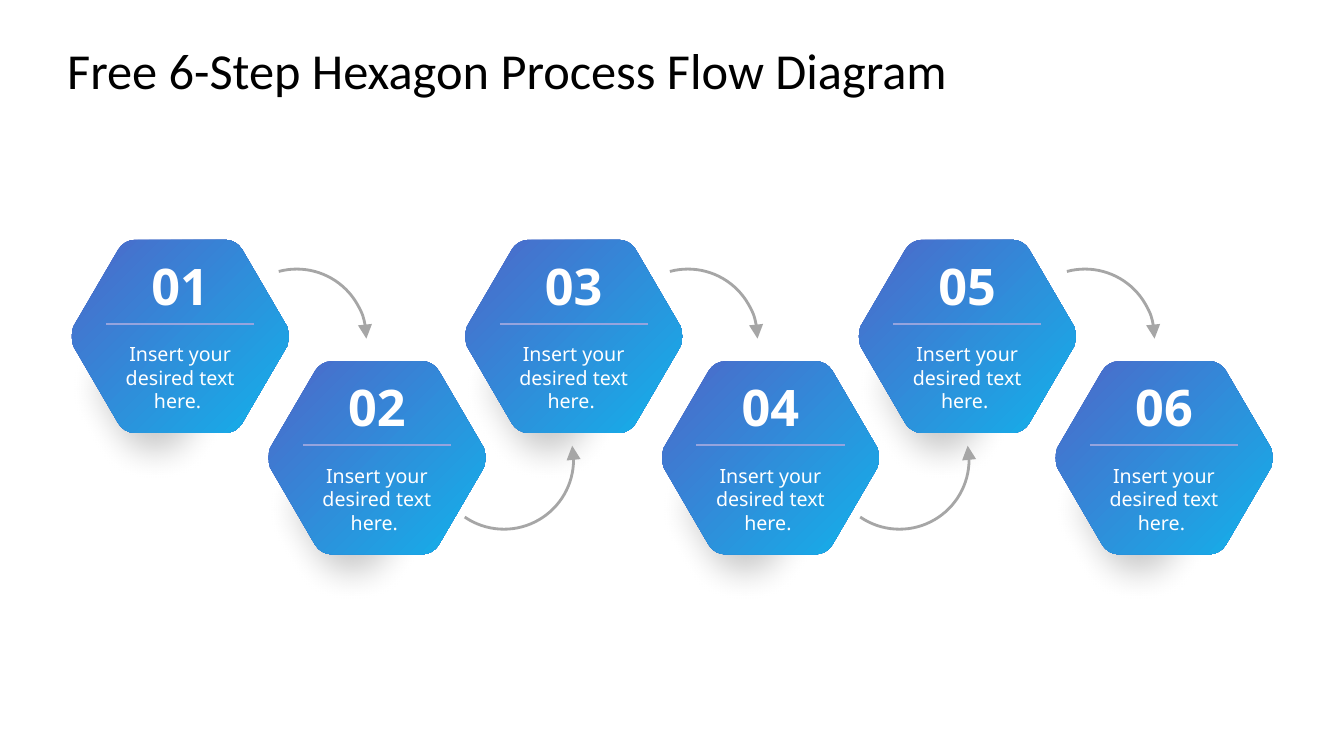
"""Build a six-step hexagon process flow slide."""
from lxml.etree import SubElement
from pptx import Presentation
from pptx.dml.color import RGBColor
from pptx.enum.shapes import MSO_CONNECTOR, MSO_SHAPE
from pptx.enum.text import MSO_ANCHOR, PP_ALIGN
from pptx.oxml.ns import qn
from pptx.util import Pt

TITLE = "Free 6-Step Hexagon Process Flow Diagram"
STEPS = [(f"{n:02}", "Insert your desired text here. ") for n in range(1, 7)]
ARC_LEFTS = [162.3, 310.3, 441.7, 592.8, 725.3]

LEFT, PITCH = 51, 140.55
ROW_TOPS = (171.3, 258)
HEX_W, HEX_H = 155.5, 138
SHADOW_DX, SHADOW_DY = -18, 36.7
ARC_SIZE = 99.4
ARC_STYLES = [
    (192.2, (152.977, 0), "a:tailEnd"),
    (278.6, (209.105, 74.627), "a:headEnd"),
]
TOP_CORNER = [(45.6, 0), (40.6, 0), (36, 2.7), (33.5, 7)]
SIDE_CORNER = [(1.4, 62), (0, 66.5), (0, 71.5), (1.4, 76)]


def color(value):
    """Turn a hex string into a colour."""
    return RGBColor.from_string(value)


def hexagon_corners():
    """Return four curve points for each corner, mirrored from the left half."""
    bottom = [(x, HEX_H - y) for x, y in reversed(TOP_CORNER)]
    half = TOP_CORNER + SIDE_CORNER + bottom
    return half + [(HEX_W - x, y) for x, y in reversed(half)]


def add_hexagon(shapes, left, top):
    """Add a hexagon with curved corners and no line."""
    points = [(Pt(left + x), Pt(top + y)) for x, y in hexagon_corners()]
    builder = shapes.build_freeform(*points[0])
    builder.add_line_segments(points[1:], close=True)
    sp = builder.convert_to_shape()
    outline = sp._element.spPr.find(".//" + qn("a:path"))
    segments = outline.findall(qn("a:lnTo"))
    for i in range(0, len(segments), 4):
        corner, *rest = segments[i:i + 3]
        corner.tag = qn("a:cubicBezTo")
        for segment in rest:
            corner.append(segment[0])
            outline.remove(segment)
    sp.line.fill.background()
    sp.shadow.inherit = False
    return sp


def add_shadow(shapes, left, top):
    """Add a soft translucent hexagon."""
    sp = add_hexagon(shapes, left + SHADOW_DX, top + SHADOW_DY)
    sp.fill.solid()
    sp.fill.fore_color.rgb = color("000000")
    props = sp._element.spPr
    SubElement(props.find(".//" + qn("a:srgbClr")), qn("a:alpha"), val="22000")
    SubElement(props.find(qn("a:effectLst")), qn("a:softEdge"), rad=str(Pt(25)))


def add_text(shapes, text, box, *, size, font="Noto Sans", fill="FFFFFF",
             bold=False, align=PP_ALIGN.CENTER):
    """Add a formatted text box."""
    tf = shapes.add_textbox(*map(Pt, box)).text_frame
    tf.word_wrap = True
    tf.vertical_anchor = MSO_ANCHOR.MIDDLE
    tf.margin_left = tf.margin_right = tf.margin_top = tf.margin_bottom = 0
    p = tf.paragraphs[0]
    p.alignment = align
    r = p.add_run()
    r.text = text
    r.font.name, r.font.size, r.font.bold = font, Pt(size), bold
    r.font.color.rgb = color(fill)


def add_step(shapes, left, top, number, text):
    """Add one grouped hexagon with its number, rule and text."""
    group = shapes.add_group_shape().shapes
    sp = add_hexagon(group, left, top)
    sp.fill.gradient()
    sp.fill.gradient_angle = 315
    for stop, value, position in zip(sp.fill.gradient_stops, ("4E67C8", "12B2EB"), (0, 1)):
        stop.color.rgb = color(value)
        stop.position = position
    y = Pt(top + 60.1)
    rule = group.add_connector(MSO_CONNECTOR.STRAIGHT, Pt(left + 24.8), y,
                               Pt(left + HEX_W - 24.8), y)
    rule.line.color.rgb = color("95A4DE")
    rule.line.width = Pt(1.5)
    SubElement(rule._element.spPr, qn("a:effectLst"))
    add_text(group, number, (left + 43.2, top + 13.8, 69, 37.4), size=36, bold=True)
    add_text(group, text, (left + 35.2, top + 70.6, 85, 55.4), size=14)


def add_arc(shapes, left, top, angles, end):
    """Add a curved arrow."""
    sp = shapes.add_shape(MSO_SHAPE.ARC, Pt(left), Pt(top), Pt(ARC_SIZE), Pt(ARC_SIZE))
    sp.adjustments[0], sp.adjustments[1] = angles
    sp.fill.background()
    sp.shadow.inherit = False
    sp.line.color.rgb = color("A6A6A6")
    sp.line.width = Pt(2)
    SubElement(sp.line._get_or_add_ln(), qn(end), type="triangle", w="lg", len="lg")


def main():
    """Build and save the slide."""
    prs = Presentation()
    prs.slide_width, prs.slide_height = Pt(960), Pt(540)
    s = prs.slides.add_slide(prs.slide_layouts[6])
    places = [(LEFT + i * PITCH, ROW_TOPS[i % 2]) for i in range(len(STEPS))]
    for place in places:
        add_shadow(s.shapes, *place)
    add_text(s.shapes, TITLE, (48, 21.6, 864, 56), size=36, font="Calibri",
             fill="000000", align=PP_ALIGN.LEFT)
    for i, (place, step) in enumerate(zip(places, STEPS)):
        add_step(s.shapes, *place, *step)
        if i < len(ARC_LEFTS):
            add_arc(s.shapes, ARC_LEFTS[i], *ARC_STYLES[i % 2])
    prs.save("out.pptx")


if __name__ == "__main__":
    main()
